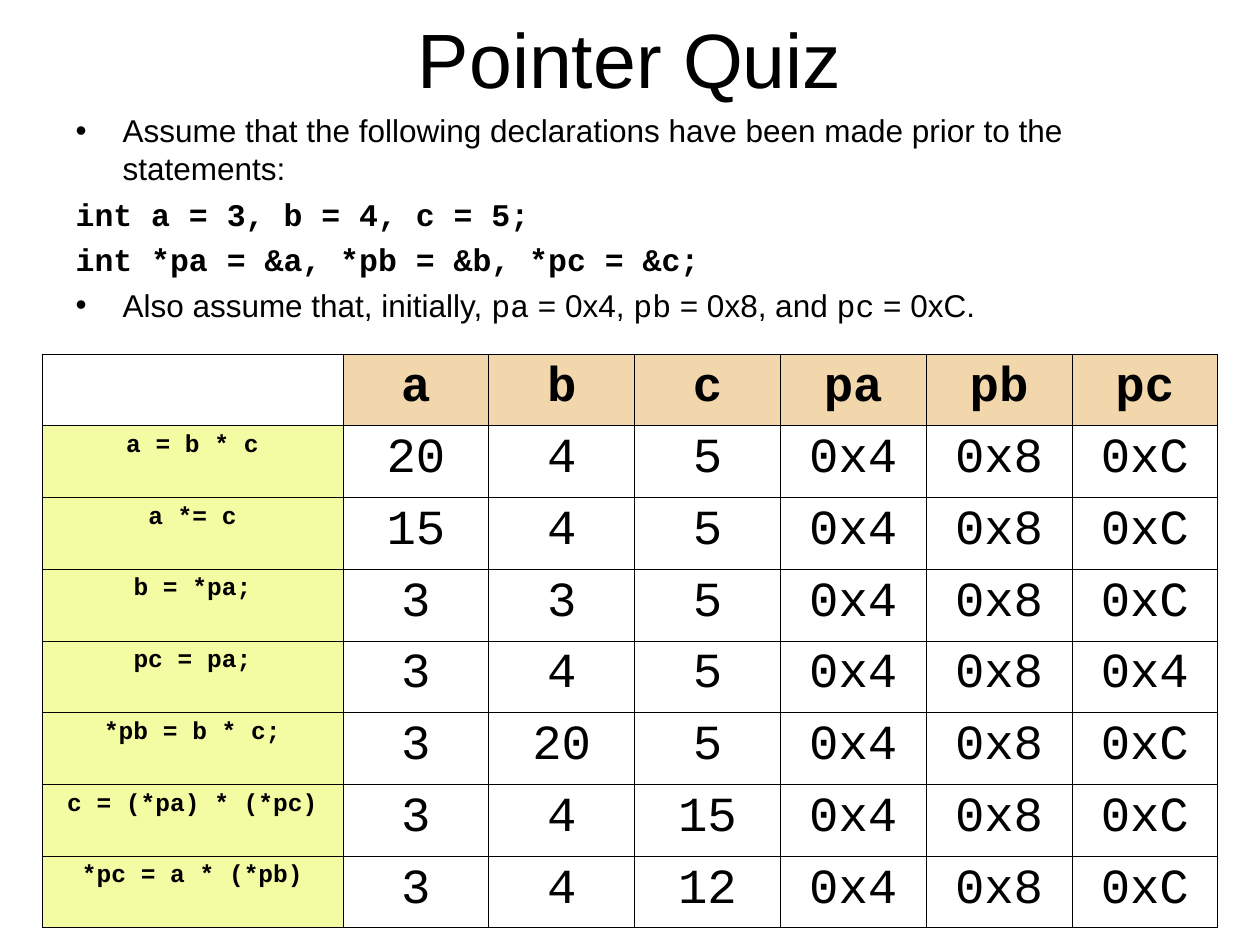
from lxml import etree
from pptx import Presentation
from pptx.dml.color import RGBColor
from pptx.enum.text import MSO_ANCHOR, PP_ALIGN
from pptx.oxml.ns import qn
from pptx.util import Pt

PX = 914400 / 126  # EMU in one px
CENTER, LEFT = PP_ALIGN.CENTER, PP_ALIGN.LEFT
TOP, MIDDLE = MSO_ANCHOR.TOP, MSO_ANCHOR.MIDDLE

BLACK = RGBColor(0x00, 0x00, 0x00)
WHITE = RGBColor(0xFF, 0xFF, 0xFF)
TAN = RGBColor(0xF2, 0xD6, 0xAC)
LIME = RGBColor(0xF3, 0xFB, 0xA3)
SANS, MONO = "Arial", "Courier New"

# Formats
TITLE = dict(name=SANS, size=Pt(44))
PROSE = dict(name=SANS, size=Pt(18), bold=False)
INLINE = dict(PROSE, name=MONO)
CODE = dict(INLINE, bold=True)
HEAD = dict(name=MONO, size=Pt(28), bold=True)
VALUE = dict(HEAD, bold=False)
STATEMENT = dict(HEAD, size=Pt(14))

# Each paragraph: has a bullet, runs
INTRO = [
    (True, [("Assume that the following declarations have been made prior "
             "to the statements:", PROSE)]),
    (False, [("int a = 3, b = 4, c = 5;", CODE)]),
    (False, [("int *pa = &a, *pb = &b, *pc = &c;", CODE)]),
    (True, [("Also assume that, initially, ", PROSE), ("pa", INLINE),
            (" = 0x4, ", PROSE), ("pb", INLINE), (" = 0x8, and ", PROSE),
            ("pc", INLINE), (" = 0xC.", PROSE)]),
]
ANSWERS = [
    ("", "a", "b", "c", "pa", "pb", "pc"),
    ("a = b * c", "20", "4", "5", "0x4", "0x8", "0xC"),
    ("a *= c", "15", "4", "5", "0x4", "0x8", "0xC"),
    ("b = *pa;", "3", "3", "5", "0x4", "0x8", "0xC"),
    ("pc = pa;", "3", "4", "5", "0x4", "0x8", "0x4"),
    ("*pb = b * c;", "3", "20", "5", "0x4", "0x8", "0xC"),
    ("c = (*pa) * (*pc)", "3", "4", "15", "0x4", "0x8", "0xC"),
    ("*pc = a * (*pb)", "3", "4", "12", "0x4", "0x8", "0xC"),
]


def px(n):
    return round(n * PX)


def place(sp, box):
    sp.left, sp.top, sp.width, sp.height = map(px, box)


def add_run(p, text, fmt):
    r = p.add_run()
    r.text = text
    for key, value in fmt.items():
        setattr(r.font, key, value)
    r.font.color.rgb = BLACK


def set_bullet(p, shown, indent):
    pPr = p._p.get_or_add_pPr()
    pPr.set("marL", str(px(indent)))
    pPr.set("indent", str(-px(indent)))
    if shown:
        etree.SubElement(pPr, qn("a:buChar"), char="•")
    else:
        etree.SubElement(pPr, qn("a:buNone"))


def set_borders(cell, color, width):
    tcPr = cell._tc.get_or_add_tcPr()
    for i, side in enumerate(("lnL", "lnR", "lnT", "lnB")):
        ln = etree.Element(qn(f"a:{side}"), w=str(width))
        fill = etree.SubElement(ln, qn("a:solidFill"))
        etree.SubElement(fill, qn("a:srgbClr"), val=str(color))
        tcPr.insert(i, ln)  # borders come before the fill


def fill_title(sp, box, text):
    place(sp, box)
    tf = sp.text_frame
    tf.vertical_anchor = MIDDLE
    p = tf.paragraphs[0]
    p.alignment = CENTER
    add_run(p, text, TITLE)


def fill_intro(sp, box, paragraphs):
    place(sp, box)
    tf = sp.text_frame
    tf.vertical_anchor = TOP
    for i, (bullet, runs) in enumerate(paragraphs):
        p = tf.add_paragraph() if i else tf.paragraphs[0]
        p.alignment = LEFT
        p.space_before = Pt(4.5)
        set_bullet(p, bullet, 47)
        for text, fmt in runs:
            add_run(p, text, fmt)


def cell_style(row, col):
    """Return fill, run format and space before for a table cell."""
    if row == 0:
        return (TAN if col else WHITE), HEAD, 7
    if col == 0:
        return LIME, STATEMENT, 3.5
    return WHITE, VALUE, 7


def add_answers(s, box, rows, first_width):
    x, y, w, h = box
    n_rows, n_cols = len(rows), len(rows[0])
    table = s.shapes.add_table(n_rows, n_cols, *map(px, box)).table
    table.first_row = table.horz_banding = False
    for i, column in enumerate(table.columns):
        column.width = px((w - first_width) / (n_cols - 1) if i else first_width)
    for i, values in enumerate(rows):
        table.rows[i].height = px(h / n_rows)
        for j, text in enumerate(values):
            cell = table.cell(i, j)
            color, fmt, gap = cell_style(i, j)
            cell.fill.solid()
            cell.fill.fore_color.rgb = color
            set_borders(cell, BLACK, Pt(0.45))
            cell.vertical_anchor = TOP
            p = cell.text_frame.paragraphs[0]
            p.alignment = CENTER
            p.space_before = Pt(gap)
            if text:
                add_run(p, text, fmt)


def main():
    prs = Presentation()
    prs.slide_width, prs.slide_height = px(1260), px(945)
    s = prs.slides.add_slide(prs.slide_layouts[1])
    title, body = s.placeholders
    fill_title(title, (63, -21, 1134, 158), "Pointer Quiz")
    fill_intro(body, (63, 105, 1144, 624), INTRO)
    add_answers(s, (42, 354, 1176, 574), ANSWERS, first_width=301)
    prs.save("out.pptx")


if __name__ == "__main__":
    main()
